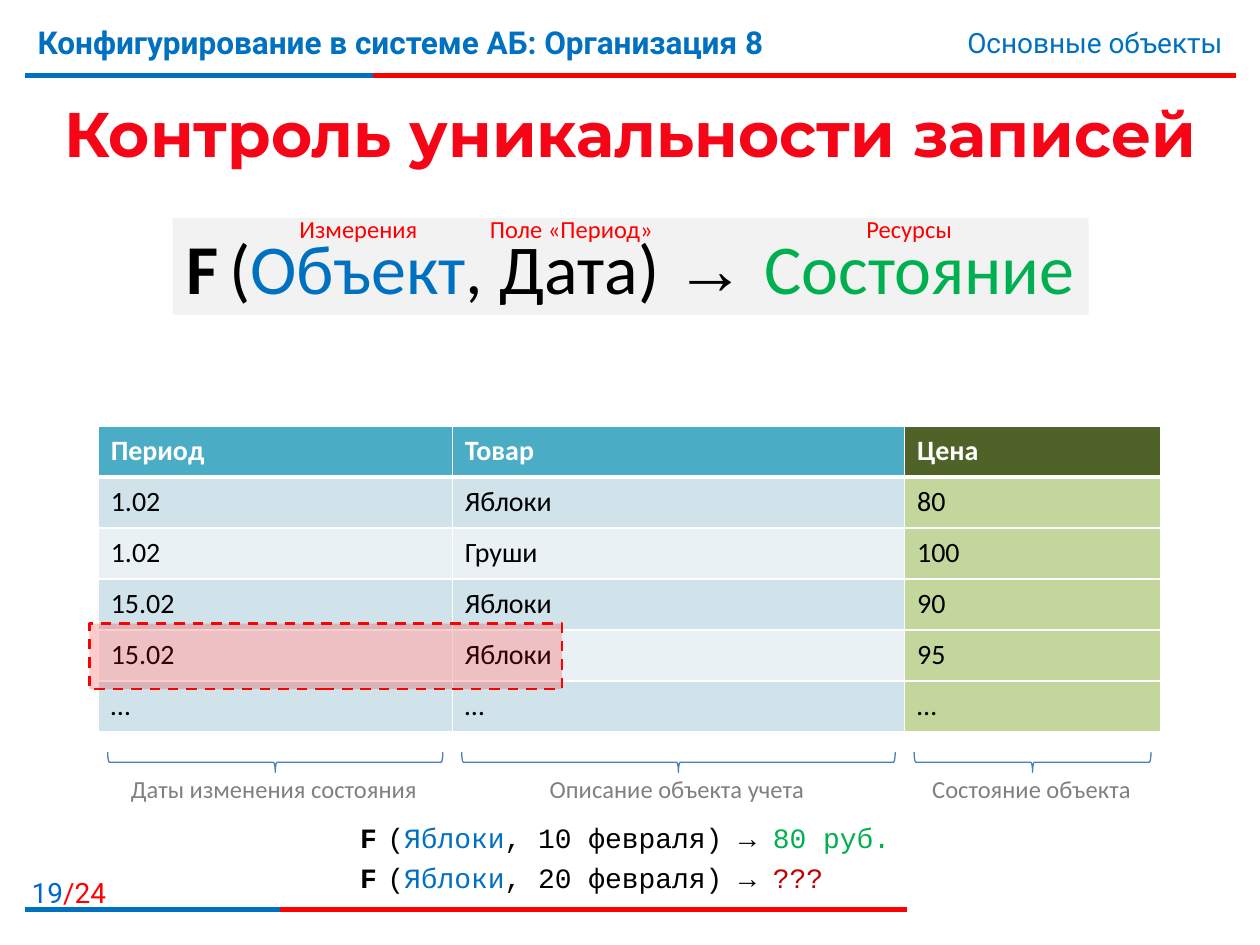
from pptx import Presentation
from pptx.dml.color import RGBColor
from pptx.enum.dml import MSO_LINE
from pptx.enum.shapes import MSO_CONNECTOR, MSO_SHAPE
from pptx.enum.text import MSO_ANCHOR, PP_ALIGN
from pptx.oxml.ns import qn
from pptx.util import Inches, Pt
from lxml.etree import SubElement

HUES = {
    "red": "FF0000", "blue": "0070C0", "page": "0066CC", "title": "F50516",
    "green": "00B050", "dark": "C00000", "black": "000000", "white": "FFFFFF",
    "gray": "808080", "pale": "F2F2F2", "brace": "4B7EBC",
    "head": "4BACC6", "odd": "D0E3EA", "even": "E9F1F5",
    "olive": "4F6228", "lime": "C3D69B",
}
LEFT, TOP, ROW = 0.78, 3.38, 0.405
COLS = [2.81, 3.59, 2.03]
DATA = [
    ("Период", "Товар", "Цена"),
    ("1.02", "Яблоки", "80"),
    ("1.02", "Груши", "100"),
    ("15.02", "Яблоки", "90"),
    ("15.02", "Яблоки", "95"),
    ("…", "…", "…"),
]


def hue(name):
    return RGBColor.from_string(HUES[name])


def box(*spot):
    return [Inches(n) for n in spot]


def style(font, size, face, color, bold=False):
    font.size, font.name, font.bold = Pt(size), face, bold
    font.color.rgb = hue(color)


def add_runs(para, parts, size, face):
    """Each part is text, colour and optionally a different face."""
    for text, color, *other in parts:
        run = para.add_run()
        run.text = text
        style(run.font, size, other[0] if other else face, color, text == "F")
        if text == "F":
            run.font._element.set("spc", "600")


def add_text(slide, spot, text, size, face, color,
             align=PP_ALIGN.LEFT, bold=False, wrap=False):
    frame = slide.shapes.add_textbox(*box(*spot)).text_frame
    frame.word_wrap = wrap
    frame.text = text
    para = frame.paragraphs[0]
    para.alignment = align
    if text:
        style(para.runs[0].font, size, face, color, bold)
    return frame


def add_line(slide, start, end, y, color):
    line = slide.shapes.add_connector(
        MSO_CONNECTOR.STRAIGHT, *box(start, y, end, y))
    line.line.color.rgb = hue(color)
    line.line.width = Pt(3)
    SubElement(line._element.spPr, qn("a:effectLst"))


def add_shape(slide, kind, spot, fill=None, line=None, width=0.75):
    shape = slide.shapes.add_shape(kind, *box(*spot))
    shape.shadow.inherit = False
    if fill:
        shape.fill.solid()
        shape.fill.fore_color.rgb = hue(fill)
    else:
        shape.fill.background()
    if line:
        shape.line.color.rgb = hue(line)
        shape.line.width = Pt(width)
    else:
        shape.line.fill.background()
    return shape


def add_rule(slide, y, split, end):
    add_line(slide, 0.2, end, y, "red")
    add_line(slide, 0.2, split, y, "blue")


def add_frame(slide):
    add_rule(slide, 0.6, 2.96, 9.81)
    add_rule(slide, 7.22, 2.22, 7.2)
    add_text(slide, (0.2, 0.13, 7.4, 0.62),
             "Конфигурирование в системе АБ: Организация 8",
             18, "Roboto", "blue", bold=True, wrap=True)
    add_text(slide, (5.94, 0.15, 3.86, 0.37), "Основные объекты",
             16, "Roboto", "blue", PP_ALIGN.RIGHT, wrap=True)
    page = add_text(slide, (-0.1, 6.9, 1.04, 0.32), "", 16, "Roboto", "page",
                    PP_ALIGN.RIGHT, wrap=True)
    add_runs(page.paragraphs[0], [("19", "page"), ("/24", "red")],
             16, "Roboto")


def set_title(slide):
    title = slide.shapes.title
    title.left, title.top, title.width, title.height = box(
        0.2, 0.61, 9.61, 0.88)
    frame = title.text_frame
    frame.text = "Контроль уникальности записей"
    frame.vertical_anchor = MSO_ANCHOR.MIDDLE
    frame.paragraphs[0].alignment = PP_ALIGN.CENTER
    style(frame.paragraphs[0].runs[0].font, 36, "Montserrat", "title", True)


def add_formula(slide):
    panel = add_shape(slide, MSO_SHAPE.RECTANGLE, (1.37, 1.73, 7.27, 0.77),
                      "pale")
    frame = panel.text_frame
    frame.word_wrap = False
    frame.vertical_anchor = MSO_ANCHOR.TOP
    frame.paragraphs[0].alignment = PP_ALIGN.CENTER
    add_runs(frame.paragraphs[0], [
        ("F", "black"), ("(", "black"), ("Объект", "blue"),
        (", Дата) ", "black"), ("→ ", "black", "Arial"),
        ("Состояние", "green")], 40, "Calibri")
    for left, width, text in [(2.27, 1.15, "Измерения"),
                              (3.78, 1.51, "Поле «Период»"),
                              (6.77, 0.89, "Ресурсы")]:
        add_text(slide, (left, 1.65, width, 0.34), text, 14, "Calibri",
                 "red", PP_ALIGN.CENTER)


def set_border(cell, head):
    props = cell._tc.get_or_add_tcPr()
    for side in "LRTB":
        width = 3 if head and side == "B" else 1
        line = SubElement(props, qn("a:ln" + side), w=str(Pt(width)))
        fill = SubElement(line, qn("a:solidFill"))
        SubElement(fill, qn("a:srgbClr"), val=HUES["white"])


def add_prices(slide):
    table = slide.shapes.add_table(
        len(DATA), len(COLS),
        *box(LEFT, TOP, sum(COLS), ROW * len(DATA))).table
    for col, width in zip(table.columns, COLS):
        col.width = Inches(width)
    for r, row in enumerate(DATA):
        table.rows[r].height = Inches(ROW)
        for c, text in enumerate(row):
            cell, head = table.cell(r, c), r == 0
            cell.text = text
            cell.vertical_anchor = MSO_ANCHOR.MIDDLE
            style(cell.text_frame.paragraphs[0].runs[0].font, 16, "Calibri",
                  "white" if head else "black", head)
            set_border(cell, head)
            if c == 2:
                fill = "olive" if head else "lime"
            else:
                fill = "head" if head else ("even", "odd")[r % 2]
            cell.fill.solid()
            cell.fill.fore_color.rgb = hue(fill)


def add_braces(slide):
    labels = [("Даты изменения состояния", 2.49),
              ("Описание объекта учета", 2.24), ("Состояние объекта", 1.79)]
    left = LEFT
    for col, (text, width) in zip(COLS, labels):
        mid, span = left + col / 2, col - 0.15
        add_text(slide, (mid - width / 2, 6.09, width, 0.34), text,
                 14, "Calibri", "gray")
        brace = add_shape(slide, MSO_SHAPE.LEFT_BRACE,
                          (mid - 0.08, 6.05 - span / 2, 0.16, span),
                          line="brace")
        brace.rotation = 270
        left += col


def add_mark(slide):
    mark = add_shape(slide, MSO_SHAPE.RECTANGLE, (0.71, 4.95, 3.75, 0.52),
                     "red", "red", 1.5)
    mark.line.dash_style = MSO_LINE.DASH
    color = mark._element.spPr.find(qn("a:solidFill")).find(qn("a:srgbClr"))
    SubElement(color, qn("a:alpha"), val="20000")


def add_queries(slide):
    frame = add_text(slide, (2.76, 6.41, 4.47, 0.75), "", 16, "Courier New",
                     "black")
    rows = [("10", "80 руб.", "green"), ("20", "???", "dark")]
    for n, (day, answer, color) in enumerate(rows):
        para = frame.add_paragraph() if n else frame.paragraphs[0]
        para.line_spacing = 1.2
        add_runs(para, [
            ("F", "black"), ("(", "black"), ("Яблоки", "blue"),
            (f", {day} февраля) → ", "black"), (answer, color)],
            16, "Courier New")


def main():
    deck = Presentation()
    deck.slide_width, deck.slide_height = box(10, 7.5)
    slide = deck.slides.add_slide(deck.slide_layouts[5])
    # Header, footer and title
    add_frame(slide)
    set_title(slide)
    # Table with its notes and the marked duplicate
    add_prices(slide)
    add_queries(slide)
    add_braces(slide)
    add_mark(slide)
    # Function of object and date
    add_formula(slide)
    deck.save("out.pptx")


if __name__ == "__main__":
    main()
